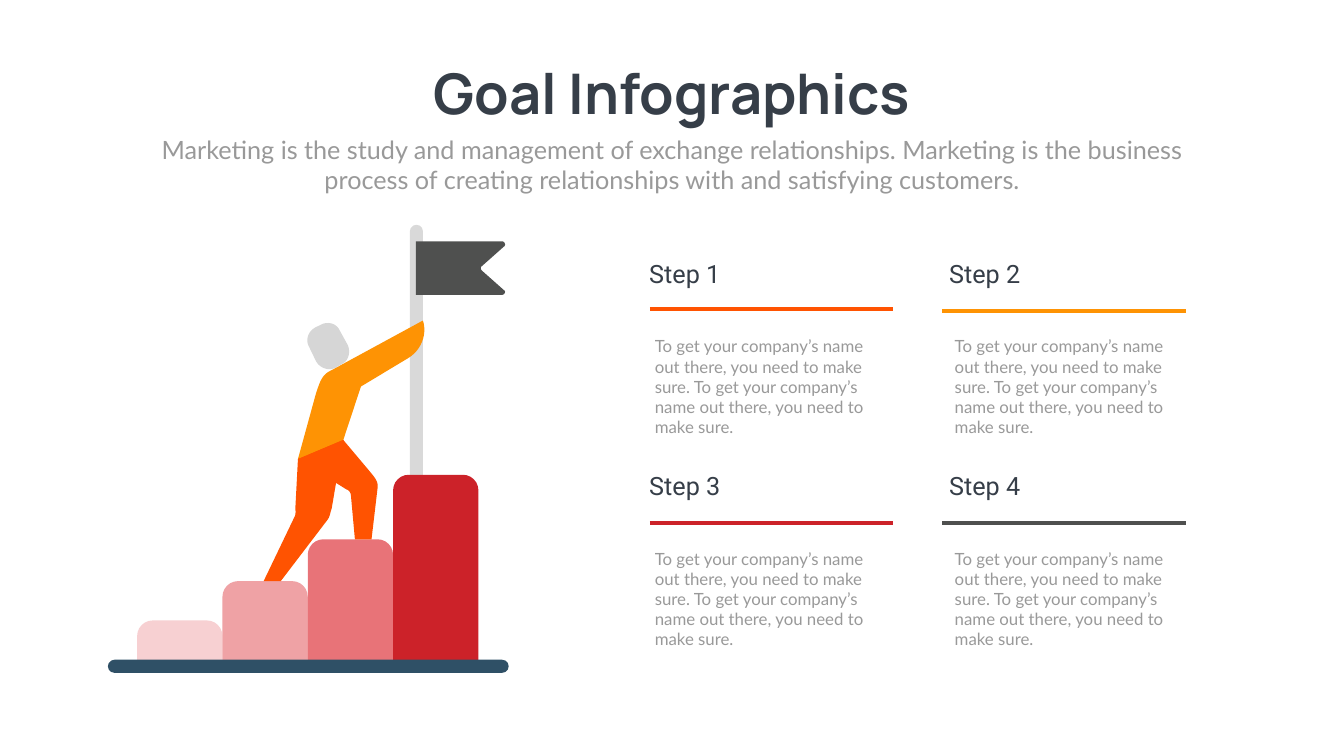
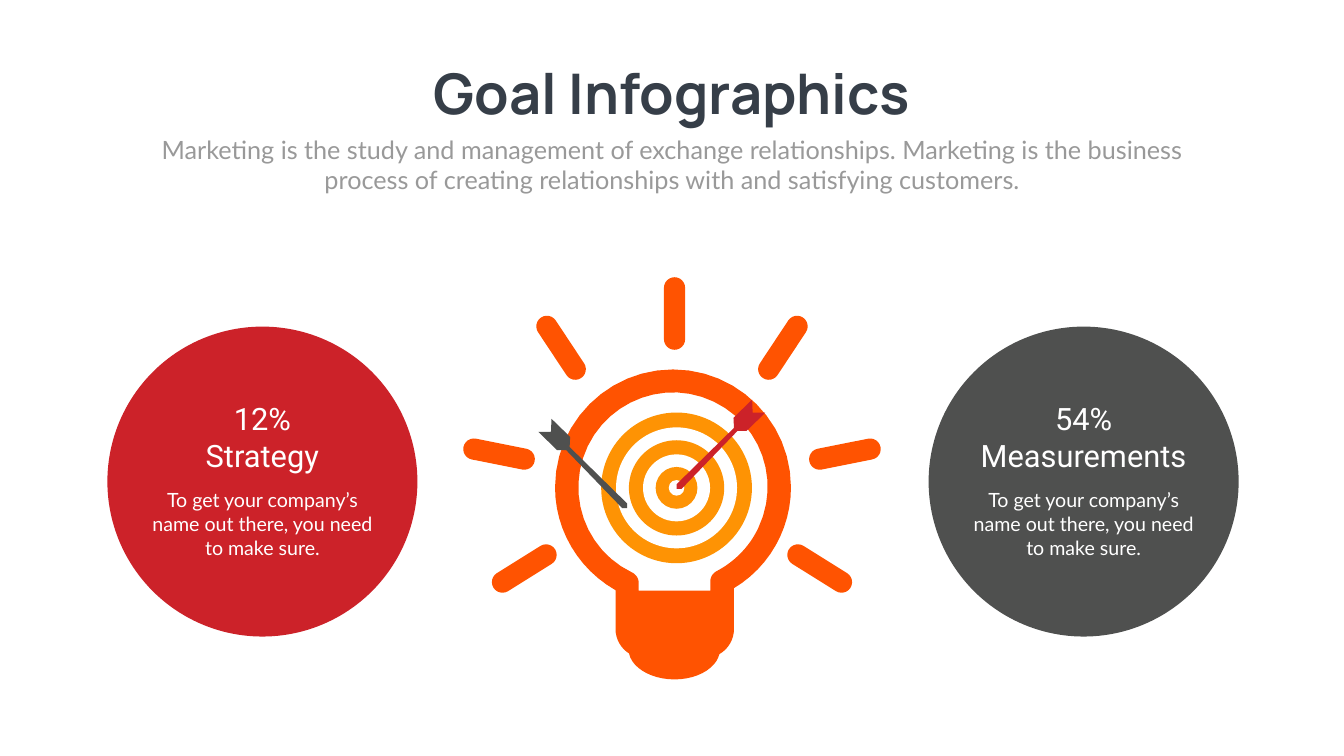
from dataclasses import dataclass, field

from lxml.etree import SubElement
from pptx import Presentation
from pptx.dml.color import RGBColor
from pptx.enum.shapes import MSO_CONNECTOR, MSO_SHAPE as Shape
from pptx.enum.text import MSO_ANCHOR, MSO_AUTO_SIZE, PP_ALIGN as Align
from pptx.oxml.ns import qn
from pptx.util import Pt

PX = 9144
CURVE_STEPS = 12


@dataclass(frozen=True)
class Theme:
    colours: dict = field(default_factory=lambda: {
        "ink": "363E48", "muted": "999999", "white": "FFFFFF",
        "red": "CC2229", "coral": "E87378", "rose": "EFA2A5", "blush": "F7D0D2",
        "orange": "FF5301", "amber": "FE9304", "charcoal": "4F504F",
        "ground": "2F5066", "pole": "D9D9D9", "head": "D6D6D6"})
    type: dict = field(default_factory=lambda: {
        "title": {"name": "Manrope", "size": Pt(80), "bold": True},
        "intro": {"name": "Lato", "size": Pt(36)},
        "step": {"name": "Roboto", "size": Pt(36)},
        "step_body": {"name": "Lato", "size": Pt(24)},
        "figure": {"name": "Roboto", "size": Pt(44)},
        "figure_body": {"name": "Lato", "size": Pt(28)}})
    rule_width: int = Pt(6)


THEME = Theme()

TITLE = "Goal Infographics"
INTRO = ("Marketing is the study and management of exchange relationships. "
         "Marketing is the business process of creating relationships with "
         "and satisfying customers.")
ADVICE = "To get your company’s name out there, you need to make sure."

STEPS = [("Step 1", "orange", 613), ("Step 2", "amber", 617),
         ("Step 3", "red", 1037), ("Step 4", "charcoal", 1037)]
STEP_LEFTS, STEP_TOPS, RULE_LEFTS = (1278, 1873), (507, 928), (1289, 1869)

STAIRS = [(1231, "blush"), (1153, "rose"), (1070, "coral"), (942, "red")]
STAIRS_LEFT, STAIRS_RIGHT, STAIRS_BOTTOM, STAIR_RADIUS = 272, 949, 1322, 31

CLIMBER = [
    ("charcoal", [(825, 585), (996, 585), (1001, 585, 1004, 578, 1000, 576),
                  (956, 537), (953, 534, 953, 530, 956, 528), (1000, 489),
                  (1004, 486, 1001, 479, 996, 479), (825, 479)]),
    ("amber", [(839, 636), (655, 736), (638, 744, 634, 760, 627, 780), (591, 911),
               (640, 926), (681, 873), (716, 767), (809, 711),
               (835, 696, 848, 664, 839, 636)]),
    ("orange", [(681, 873), (734, 936), (743, 947, 751, 956, 749, 968), (737, 1070),
                (704, 1070), (696, 982), (695, 977, 693, 973, 687, 971), (591, 911)]),
    ("orange", [(591, 911), (586, 1006), (586, 1014, 587, 1019, 585, 1024),
                (523, 1153), (557, 1153), (650, 1031),
                (655, 1024, 655, 1016, 658, 1009), (681, 873)]),
    ("head", [(674, 656), (690, 685), (696, 700, 691, 717, 677, 723), (665, 730),
              (652, 736, 635, 731, 627, 717), (613, 688),
              (605, 674, 612, 657, 625, 650), (637, 644),
              (651, 637, 668, 642, 674, 656)]),
]

BULB_FOOT = [(1428, 1289), (1428, 1321, 1388, 1348, 1338, 1348),
             (1288, 1348, 1247, 1321, 1247, 1289)]
BULB_OUTER = [(1335, 733), (1206, 733, 1101, 838, 1101, 967),
              (1101, 1051, 1147, 1129, 1221, 1171), (1221, 1248),
              (1221, 1279, 1246, 1305, 1277, 1305), (1400, 1305),
              (1431, 1305, 1456, 1279, 1456, 1248), (1456, 1167),
              (1526, 1125, 1569, 1049, 1569, 967),
              (1569, 838, 1464, 733, 1335, 733)]
BULB_INNER = [(1422, 1133), (1414, 1137, 1409, 1145, 1409, 1154), (1409, 1172),
              (1267, 1172), (1267, 1157), (1267, 1148, 1262, 1140, 1254, 1136),
              (1160, 1091, 1121, 979, 1166, 885), (1211, 792, 1323, 752, 1416, 797),
              (1510, 842, 1549, 954, 1504, 1048), (1487, 1084, 1458, 1114, 1422, 1133)]

RAY_AXIS, RAY_LENGTH, RAY_WIDTH = 1333, 144, 42
TOP_RAY = (1338, 622, -90)
SIDE_RAYS = [(293, 1128, 32), (343, 901, -11.3), (220, 690, -56.5)]

TARGET_CENTRE = (1342, 968)
TARGET_DIAMETERS = [299, 240, 189, 133, 83, 31]

DART = [(1463, 855), (1481, 855), (1518, 819), (1493, 819), (1492, 793),
        (1455, 829), (1456, 849), (1342, 961), (1342, 970), (1352, 970)]
DART_MIRROR, DART_DROP = 2586, 38

DISCS = [("54%", "Measurements", "charcoal", 1842), ("12%", "Strategy", "red", 213)]
DISC_TOP, DISC_SIZE, DISC_INSET, DISC_TEXT_WIDTH = 648, 615, 63, 489


def emu(*lengths):
    return [round(length * PX) for length in lengths]


def colour(name):
    return RGBColor.from_string(THEME.colours[name])


def apply(target, values):
    for name, value in values.items():
        setattr(target, name, value)


def paint(shape, fill):
    shape.fill.solid()
    shape.fill.fore_color.rgb = colour(fill)
    shape.line.fill.background()
    shape.shadow.inherit = False
    return shape


def add_preset(slide, kind, box, fill, radius=None, rotation=0):
    shape = paint(slide.shapes.add_shape(kind, *emu(*box)), fill)
    shape.rotation = rotation
    if radius is not None:
        shape.adjustments[0] = radius / min(box[2:])
    return shape


def flatten(outline):
    points = [outline[0]]
    for part in outline[1:]:
        if len(part) == 2:
            points.append(part)
            continue
        knots = [points[-1], part[:2], part[2:4], part[4:]]
        for step in range(1, CURVE_STEPS + 1):
            t = step / CURVE_STEPS
            weights = ((1 - t) ** 3, 3 * t * (1 - t) ** 2, 3 * t * t * (1 - t), t ** 3)
            points.append(tuple(sum(w * knot[axis] for w, knot in zip(weights, knots))
                                for axis in (0, 1)))
    return [emu(*point) for point in points]


def add_outline(slide, fill, outline, hole=None):
    start, *rest = flatten(outline)
    builder = slide.shapes.build_freeform(*start)
    builder.add_line_segments(rest, close=True)
    if hole:
        start, *rest = flatten(hole)
        builder.move_to(*start)
        builder.add_line_segments(rest, close=True)
    paint(builder.convert_to_shape(), fill)


def write(shape, lines, style, ink, align, wrap=True):
    frame = shape.text_frame
    apply(frame, {"word_wrap": wrap, "auto_size": MSO_AUTO_SIZE.NONE,
                  "vertical_anchor": MSO_ANCHOR.TOP})
    frame.text = "\n".join(lines)
    for paragraph in frame.paragraphs:
        paragraph.alignment = align
        apply(paragraph.font, THEME.type[style])
        paragraph.font.color.rgb = colour(ink)


def add_text(slide, box, lines, style, ink, align=Align.LEFT):
    write(slide.shapes.add_textbox(*emu(*box)), lines, style, ink, align)


def add_rule(slide, left, top, width, ink):
    rule = slide.shapes.add_connector(MSO_CONNECTOR.STRAIGHT,
                                      *emu(left, top, left + width, top))
    rule.line.color.rgb = colour(ink)
    rule.line.width = THEME.rule_width
    SubElement(rule._element.spPr, qn("a:effectLst"))


def add_headed_slide(deck):
    slide = deck.slides.add_slide(deck.slide_layouts[5])
    title = slide.shapes.title
    apply(title, dict(zip(("left", "top", "width", "height"), emu(810, 112, 1047, 145))))
    write(title, [TITLE], "title", "ink", Align.CENTER, wrap=False)
    add_text(slide, (292, 261, 2082, 131), [INTRO], "intro", "muted", Align.CENTER)
    return slide


def add_climb(slide):
    add_preset(slide, Shape.ROUNDED_RECTANGLE, (813, 446, 26, 509), "pole", 13)
    stair_width = (STAIRS_RIGHT - STAIRS_LEFT) / len(STAIRS)
    for index, (top, fill) in enumerate(STAIRS):
        box = (STAIRS_LEFT + index * stair_width, top, stair_width, STAIRS_BOTTOM - top)
        add_preset(slide, Shape.ROUND_2_SAME_RECTANGLE, box, fill, STAIR_RADIUS)
    add_preset(slide, Shape.ROUNDED_RECTANGLE, (214, 1309, 795, 26), "ground", 13)
    for fill, outline in CLIMBER:
        add_outline(slide, fill, outline)


def add_steps(slide):
    for index, (label, ink, rule_top) in enumerate(STEPS):
        row, column = divmod(index, 2)
        left, top = STEP_LEFTS[column], STEP_TOPS[row]
        add_rule(slide, RULE_LEFTS[column], rule_top, 483, ink)
        add_text(slide, (left + 11, top + 155, 442, 252), [f"{ADVICE} {ADVICE}"],
                 "step_body", "muted")
        add_text(slide, (left, top, 326, 71), [label], "step", "ink")


def add_bulb(slide):
    add_outline(slide, "orange", BULB_FOOT)
    rays = [TOP_RAY] + [(RAY_AXIS + side * reach, y, side * angle)
                        for side in (1, -1) for reach, y, angle in SIDE_RAYS]
    for x, y, angle in rays:
        box = (x - RAY_LENGTH / 2, y - RAY_WIDTH / 2, RAY_LENGTH, RAY_WIDTH)
        add_preset(slide, Shape.ROUNDED_RECTANGLE, box, "orange", RAY_WIDTH / 2, angle)
    add_outline(slide, "orange", BULB_OUTER, BULB_INNER)


def add_target(slide):
    x, y = TARGET_CENTRE
    for index, size in enumerate(TARGET_DIAMETERS):
        add_preset(slide, Shape.OVAL, (x - size / 2, y - size / 2, size, size),
                   ("amber", "white")[index % 2])
    add_outline(slide, "red", DART)
    add_outline(slide, "charcoal", [(DART_MIRROR - x, y + DART_DROP) for x, y in DART])


def add_discs(slide):
    for figure, label, fill, left in DISCS:
        add_preset(slide, Shape.OVAL, (left, DISC_TOP, DISC_SIZE, DISC_SIZE), fill)
        for top, height, lines, style in ((789, 158, [figure, label], "figure"),
                                          (964, 151, [ADVICE], "figure_body")):
            add_text(slide, (left + DISC_INSET, top, DISC_TEXT_WIDTH, height),
                     lines, style, "white", Align.CENTER)


def main():
    deck = Presentation()
    deck.slide_width, deck.slide_height = emu(2666, 1500)
    for parts in ((add_climb, add_steps), (add_bulb, add_target, add_discs)):
        slide = add_headed_slide(deck)
        for add_part in parts:
            add_part(slide)
    deck.save("out.pptx")


if __name__ == "__main__":
    main()
